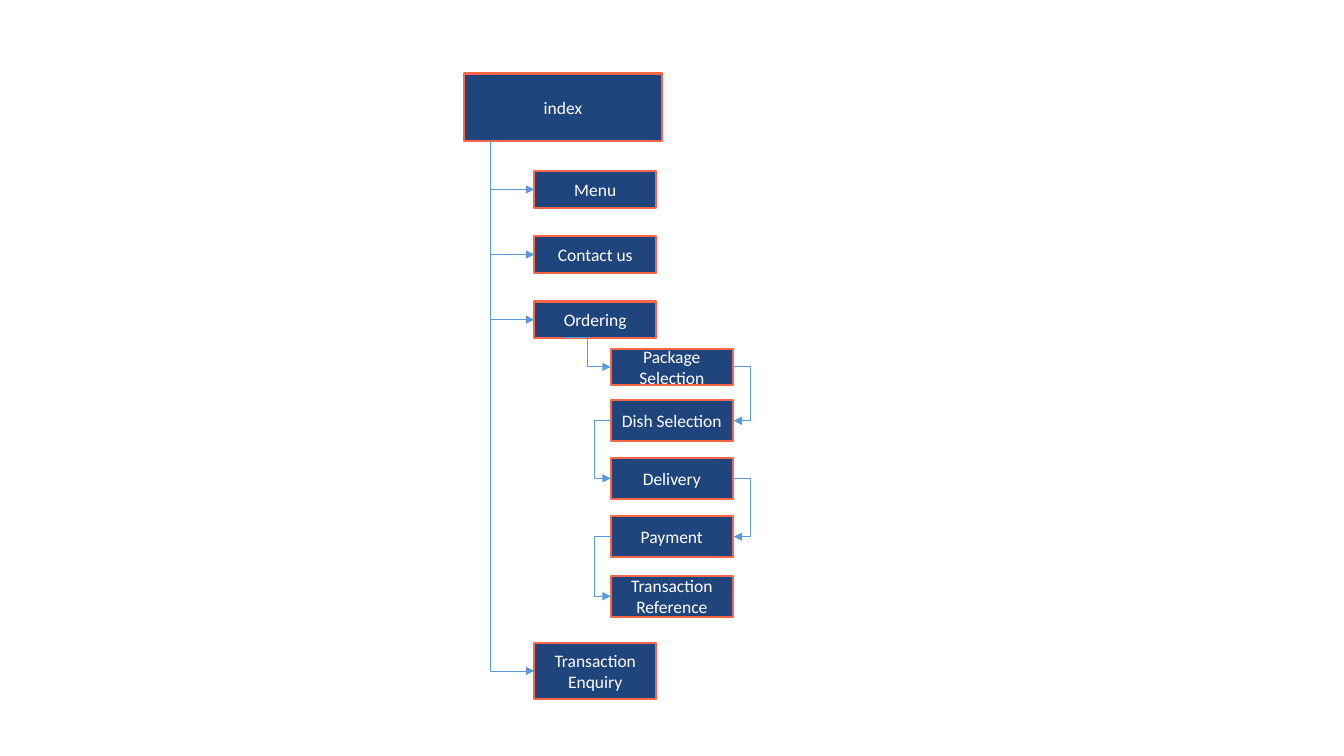
from lxml.etree import SubElement
from pptx import Presentation
from pptx.dml.color import RGBColor
from pptx.enum.shapes import MSO_CONNECTOR, MSO_SHAPE
from pptx.enum.text import MSO_ANCHOR, PP_ALIGN
from pptx.oxml.ns import qn
from pptx.util import Pt

# Content: (label, top, height)
ROOT = ("index", 52.5, 48.2)
PAGES = [("Menu", 122.4, 25.9), ("Contact us", 168.9, 25.9),
         ("Ordering", 215.4, 25.9), ("Transaction Enquiry", 459.4, 39.6)]
STEPS = [("Package Selection", 249.1, 25.9), ("Dish Selection", 285.8, 29.5),
         ("Delivery", 326.9, 29.5), ("Payment", 368.6, 29.5),
         ("Transaction Reference", 411.1, 29.5)]

THEME = {
    "fill": RGBColor.from_string("20457C"),
    "edge": RGBColor.from_string("FB6648"),
    "arrow": RGBColor.from_string("5B9BD5"),
    "edge_width": Pt(1.5),
    "arrow_width": Pt(0.5),
    "font": {"name": "Calibri", "size": Pt(12.5)},
    "text": RGBColor.from_string("FFFFFF"),
}

# Layout, in points
ROOT_X, ROOT_W = 331.2, 141.8
PAGE_X, STEP_X, BOX_W = 381.6, 436.3, 87.1
TRUNK_X = 350.6
STUB_X = 402.5
NUDGE, LOOP = 0.72, 18

deck = Presentation()
deck.slide_width, deck.slide_height = Pt(960), Pt(540)
slide = deck.slides.add_slide(deck.slide_layouts[6])


def style(part, values):
    """Set each named value on a part."""
    for name, value in values.items():
        setattr(part, name, value)


def add_box(node, left, width):
    """Draw one labelled page box."""
    label, top, height = node
    box = slide.shapes.add_shape(MSO_SHAPE.RECTANGLE, Pt(left), Pt(top),
                                 Pt(width), Pt(height))
    box.shadow.inherit = False
    box.fill.solid()
    box.fill.fore_color.rgb = THEME["fill"]
    box.line.color.rgb = THEME["edge"]
    box.line.width = THEME["edge_width"]
    frame = box.text_frame
    style(frame, {"text": label, "word_wrap": True,
                  "vertical_anchor": MSO_ANCHOR.MIDDLE})
    para = frame.paragraphs[0]
    para.alignment = PP_ALIGN.CENTER
    font = para.runs[0].font
    style(font, THEME["font"])
    font.color.rgb = THEME["text"]


def add_arrow(start, end, bend):
    """Draw an elbow arrow; bend is its turn as a share of its width."""
    points = [Pt(n) for n in (*start, *end)]
    arrow = slide.shapes.add_connector(MSO_CONNECTOR.ELBOW, *points)
    arrow.line.color.rgb = THEME["arrow"]
    arrow.line.width = THEME["arrow_width"]
    props = arrow._element.spPr
    guides = props.find(qn("a:prstGeom")).get_or_add_avLst()
    SubElement(guides, qn("a:gd"), name="adj1",
               fmla=f"val {round(bend * 100000)}")
    SubElement(props.find(qn("a:ln")), qn("a:tailEnd"), type="triangle")
    SubElement(props, qn("a:effectLst"))


def middle(node):
    """Give the height of a box's centre line."""
    return node[1] + node[2] / 2


def base(node):
    """Give the height of a box's lower edge."""
    return node[1] + node[2]


add_box(ROOT, ROOT_X, ROOT_W)
for page in PAGES:
    add_box(page, PAGE_X, BOX_W)
    add_arrow((TRUNK_X, base(ROOT)), (PAGE_X, middle(page)), 0)

for step in STEPS:
    add_box(step, STEP_X, BOX_W)
add_arrow((STUB_X, base(PAGES[2])), (STEP_X, middle(STEPS[0])), 0.5)

# Successive steps are joined on the right and left in turn
for i, (step, after) in enumerate(zip(STEPS, STEPS[1:])):
    right = STEP_X + BOX_W
    ends = (STEP_X + NUDGE, STEP_X) if i % 2 else (right, right + NUDGE)
    add_arrow((ends[0], middle(step)), (ends[1], middle(after)), LOOP)

deck.save("out.pptx")
